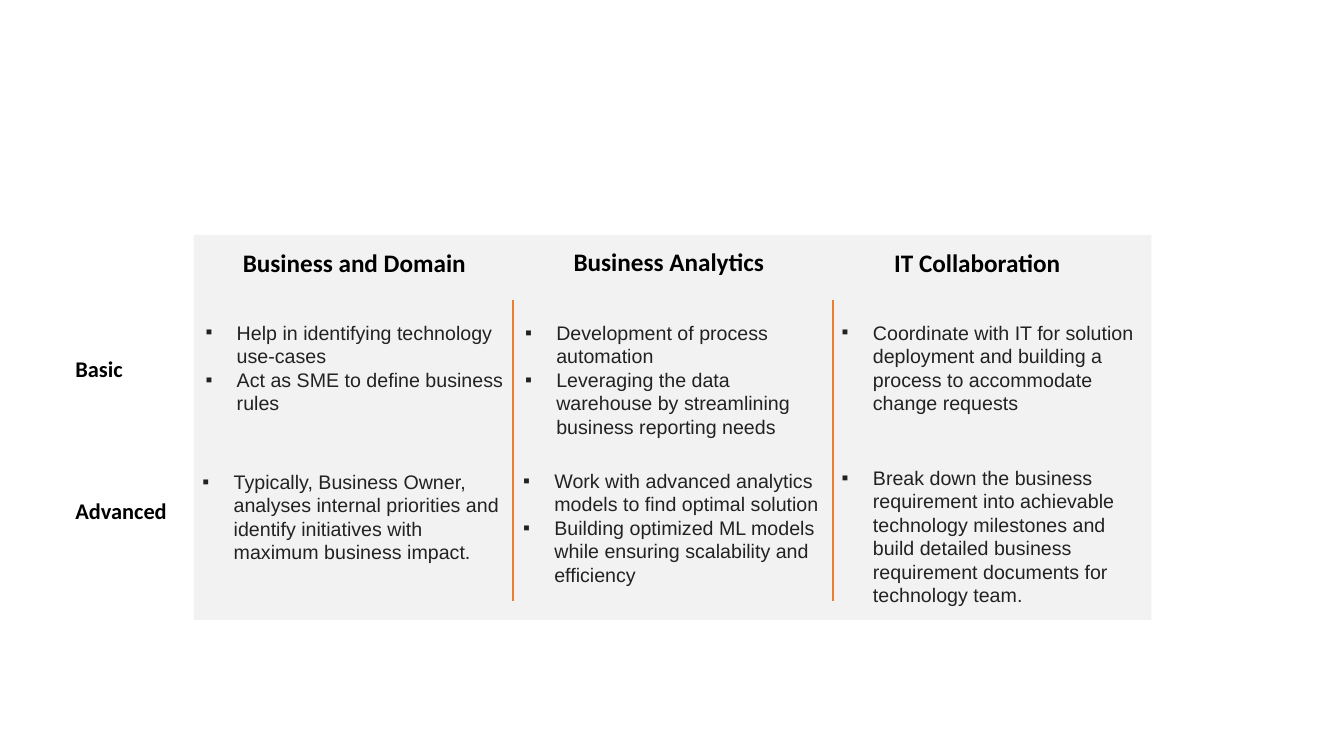
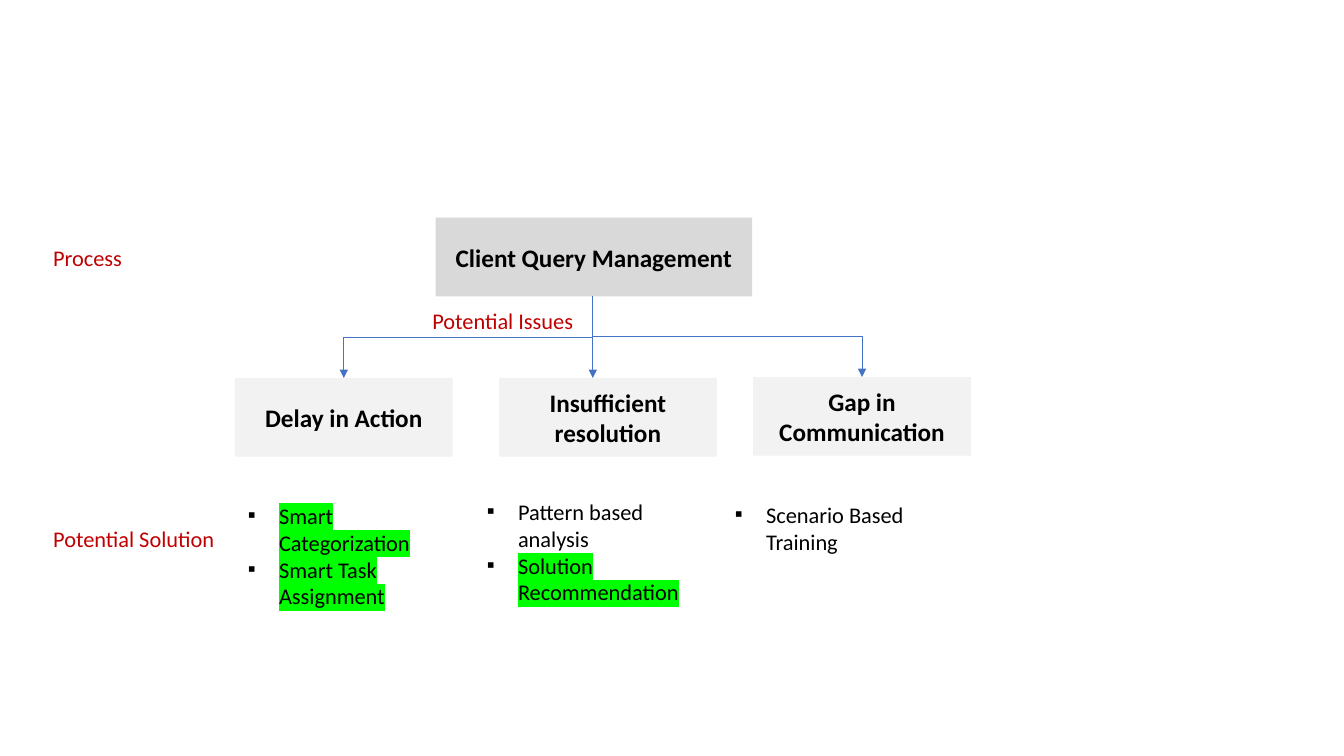
from lxml import etree
from pptx import Presentation
from pptx.dml.color import RGBColor
from pptx.enum.shapes import MSO_CONNECTOR, MSO_SHAPE
from pptx.enum.text import MSO_ANCHOR, MSO_AUTO_SIZE, PP_ALIGN
from pptx.oxml.ns import qn
from pptx.util import Emu, Pt

PX = 9144
SLIDE_W, SLIDE_H = 1333, 750
BLANK_LAYOUT = 6
BULLET_INDENT = 31

RECTANGLE = MSO_SHAPE.RECTANGLE
STRAIGHT = MSO_CONNECTOR.STRAIGHT
ELBOW = MSO_CONNECTOR.ELBOW
MIDDLE = MSO_ANCHOR.MIDDLE
GROW = MSO_AUTO_SIZE.SHAPE_TO_FIT_TEXT
CENTER = PP_ALIGN.CENTER

BLACK = "000000"
INK = "222222"
RED = "C00000"
ORANGE = "ED7D31"
BLUE = "4472C4"
LIGHT_GREY = "F2F2F2"
MID_GREY = "D9D9D9"
GREEN = "00FF00"

HEADING = {"name": "Calibri", "size": Pt(18), "bold": True}
ROW_LABEL = {"name": "Calibri", "size": Pt(16), "bold": True}
STAGE_LABEL = {"name": "Calibri", "size": Pt(16)}
SKILL = {"name": "Arial", "size": Pt(14)}
SOLUTION = {"name": "Calibri", "size": Pt(16)}


def px(*lengths):
    return [Emu(round(length * PX)) for length in lengths]


def rgb(color):
    return RGBColor.from_string(color)


def write(paragraph, text, style, color, highlight=None):
    run = paragraph.add_run()
    run.text = text
    for name, value in style.items():
        setattr(run.font, name, value)
    run.font.color.rgb = rgb(color)
    if highlight:
        mark = etree.Element(qn("a:highlight"))
        etree.SubElement(mark, qn("a:srgbClr"), val=highlight)
        run.font._element.find(qn("a:solidFill")).addnext(mark)


def add_bullet(paragraph):
    properties = paragraph._p.get_or_add_pPr()
    indent = BULLET_INDENT * PX
    properties.set("marL", str(indent))
    properties.set("indent", str(-indent))
    etree.SubElement(properties, qn("a:buFont"), typeface="Arial")
    etree.SubElement(properties, qn("a:buChar"), char="▪")


def add_frame(slide, box):
    frame = slide.shapes.add_textbox(*px(*box)).text_frame
    frame.word_wrap = True
    frame.auto_size = GROW
    return frame


def add_label(slide, box, text, style, color=BLACK):
    write(add_frame(slide, box).paragraphs[0], text, style, color)


def add_bullets(slide, box, items, style, color, marked=()):
    frame = add_frame(slide, box)
    for index, item in enumerate(items):
        paragraph = frame.add_paragraph() if index else frame.paragraphs[0]
        add_bullet(paragraph)
        write(paragraph, item, style, color, GREEN if item in marked else None)


def add_panel(slide, box, fill, text=None):
    panel = slide.shapes.add_shape(RECTANGLE, *px(*box))
    panel.shadow.inherit = False
    panel.fill.solid()
    panel.fill.fore_color.rgb = rgb(fill)
    panel.line.fill.background()
    if text:
        frame = panel.text_frame
        frame.word_wrap = True
        frame.vertical_anchor = MIDDLE
        frame.paragraphs[0].alignment = CENTER
        write(frame.paragraphs[0], text, HEADING, BLACK)


def add_line(slide, kind, start, end, color, width):
    line = slide.shapes.add_connector(kind, *px(*start, *end))
    line.line.color.rgb = rgb(color)
    line.line.width = Pt(width)
    etree.SubElement(line._element.spPr, qn("a:effectLst"))
    return line


def add_arrow(slide, start, end):
    (x1, y1), (x2, y2) = start, end
    if x1 == x2:
        arrow = add_line(slide, STRAIGHT, start, end, BLUE, 0.5)
    else:
        mid_x, mid_y = (x1 + x2) / 2, (y1 + y2) / 2
        half_w, half_h = (y2 - y1) / 2, abs(x2 - x1) / 2
        side = 1 if x2 > x1 else -1
        arrow = add_line(slide, ELBOW,
                         (mid_x + side * half_w, mid_y - half_h),
                         (mid_x - side * half_w, mid_y + half_h), BLUE, 0.5)
        degrees = 270 if side > 0 else 90
        arrow._element.spPr.find(qn("a:xfrm")).set("rot", str(degrees * 60000))
    etree.SubElement(arrow.line._get_or_add_ln(), qn("a:tailEnd"), type="triangle")


def build_skills(slide):
    add_panel(slide, (192, 233, 950, 382), LIGHT_GREY)
    for left, top, width, heading in (
        (231, 240, 265, "Business and Domain"),
        (559, 239, 215, "Business Analytics"),
        (877, 240, 265, "IT Collaboration"),
    ):
        add_label(slide, (left, top, width, 40), heading, HEADING)
    for top, level in ((488, "Advanced"), (347, "Basic")):
        add_label(slide, (65, top, 137, 37), level, ROW_LABEL)
    for x in (509, 826):
        add_line(slide, STRAIGHT, (x, 298), (x, 596), ORANGE, 1)
    for left, top, height, skills in (
        (194, 313, 104, ["Help in identifying technology use-cases",
                         "Act as SME to define business rules"]),
        (191, 461, 104, ["Typically, Business Owner, analyses internal priorities and "
                         "identify initiatives with maximum business impact. "]),
        (511, 313, 128, ["Development of process automation",
                         "Leveraging the data warehouse by streamlining "
                         "business reporting needs"]),
        (825, 313, 104, ["Coordinate with IT for solution deployment and building "
                         "a process to accommodate change requests"]),
        (509, 460, 128, ["Work with advanced analytics models to find optimal solution",
                         "Building optimized ML models while ensuring "
                         "scalability and efficiency"]),
        (825, 457, 151, ["Break down the business requirement into achievable "
                         "technology milestones and build detailed business "
                         "requirement documents for technology team."]),
    ):
        add_bullets(slide, (left, top, 323, height), skills, SKILL, INK)


def build_query_process(slide):
    add_panel(slide, (432, 216, 314, 78), MID_GREY, "Client Query Management")
    for left, top, issue in (
        (233, 375, "Delay in Action"),
        (495, 375, "Insufficient resolution"),
        (747, 374, "Gap in Communication"),
    ):
        add_panel(slide, (left, top, 216, 78), LIGHT_GREY, issue)
    for end in ((588, 375), (341, 375), (855, 374)):
        add_arrow(slide, (588, 294), end)
    automated = ("Smart Categorization", "Smart Task Assignment",
                 "Solution Recommendation")
    for left, top, height, solutions in (
        (236, 493, 118, automated[:2]),
        (473, 489, 118, ("Pattern based analysis", automated[2])),
        (719, 492, 64, ("Scenario Based Training",)),
    ):
        add_bullets(slide, (left, top, 237, height), solutions, SOLUTION, BLACK, automated)
    for left, top, stage in (
        (43, 237, "Process"),
        (43, 516, "Potential Solution"),
        (419, 300, "Potential Issues"),
    ):
        add_label(slide, (left, top, 184, 37), stage, STAGE_LABEL, RED)


def main():
    deck = Presentation()
    deck.slide_width, deck.slide_height = px(SLIDE_W, SLIDE_H)
    for build in (build_skills, build_query_process):
        build(deck.slides.add_slide(deck.slide_layouts[BLANK_LAYOUT]))
    deck.save("out.pptx")


if __name__ == "__main__":
    main()
